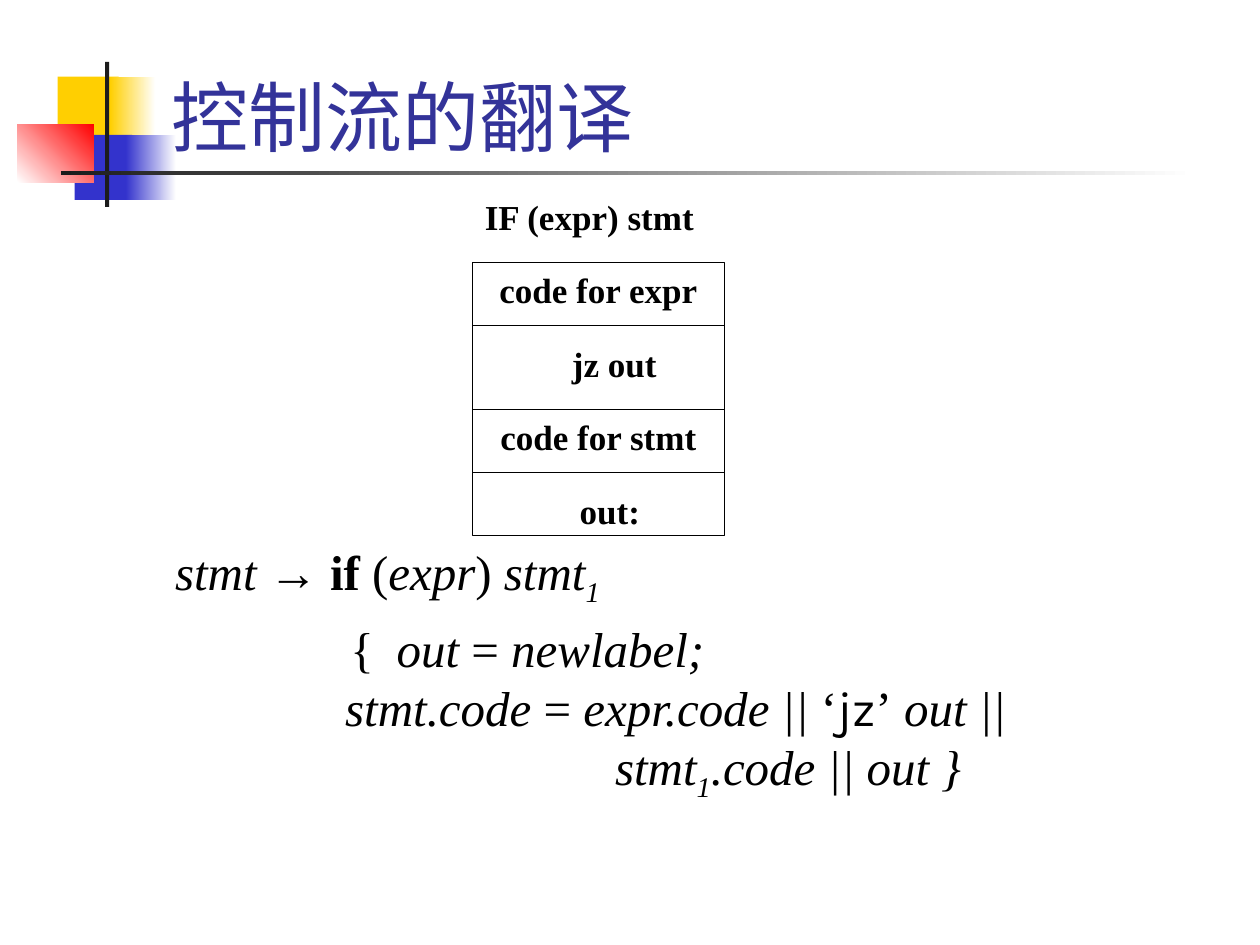
"""Build the slide on translating control flow: an IF code layout and its translation scheme."""
from lxml import etree
from pptx import Presentation
from pptx import util as u
from pptx.dml.color import RGBColor
from pptx.enum import shapes, text
from pptx.oxml.ns import qn

YELLOW = RGBColor(0xFF, 0xCF, 0x01)
BLUE = RGBColor(0x33, 0x33, 0xCC)
RED = RGBColor(0xFF, 0x00, 0x00)
DARK = RGBColor(0x1C, 0x1C, 0x1C)
NAVY = RGBColor(0x33, 0x33, 0x99)
BLACK = RGBColor(0x00, 0x00, 0x00)
WHITE = RGBColor(0xFF, 0xFF, 0xFF)

presentation = Presentation()
presentation.slide_width, presentation.slide_height = u.Inches(10), u.Inches(7.5)
CELL = presentation.slide_width / 120
slide = presentation.slides.add_slide(presentation.slide_layouts[5])


def grid(*cells):
    """Turn grid columns and rows into slide lengths."""
    return [u.Emu(round(cell * CELL)) for cell in cells]


def write(paragraph, content, size=20, color=BLACK, font="Times New Roman",
          bold=False, italic=False, baseline=0):
    """Add one formatted run to a paragraph."""
    run = paragraph.add_run()
    run.text = content
    run.font.size, run.font.name = u.Pt(size), font
    run.font.bold, run.font.italic = bold, italic
    run.font.color.rgb = color
    if baseline:
        run.font._element.set("baseline", str(baseline * 1000))


ornaments = [
    (5.5, 7.3, 5.8, 6.2, YELLOW, None, 0),
    (10.5, 7.3, 4.3, 6.2, YELLOW, WHITE, 0),
    (7.1, 12.85, 5.5, 6.2, BLUE, None, 0),
    (12, 12.85, 4.8, 6.2, BLUE, WHITE, 0),
    (1.65, 11.85, 7.3, 5.5, WHITE, RED, 45),
    (10, 5.9, 0.4, 13.8, DARK, None, 0),
    (5.8, 16.3, 108, 0.4, DARK, WHITE, 0),
]
for left, top, width, height, start, end, angle in ornaments:
    shape = slide.shapes.add_shape(
        shapes.MSO_SHAPE.RECTANGLE, *grid(left, top, width, height))
    shape.shadow.inherit = False
    shape.line.fill.background()
    if end is None:
        shape.fill.solid()
        shape.fill.fore_color.rgb = start
    else:
        shape.fill.gradient()
        shape.fill.gradient_angle = angle
        for stop, color in zip(shape.fill.gradient_stops, (start, end)):
            stop.color.rgb = color

title = slide.shapes.title
title.element.getparent().append(title.element)
title.left, title.top, title.width, title.height = grid(15.1, 1, 102.2, 15)
title.text_frame.vertical_anchor = text.MSO_ANCHOR.BOTTOM
title.text_frame.paragraphs[0].alignment = text.PP_ALIGN.LEFT
write(title.text_frame.paragraphs[0], "控制流的翻译", size=44, color=NAVY)

frame = slide.shapes.add_shape(shapes.MSO_SHAPE.RECTANGLE, *grid(45, 25, 24, 26))
frame.shadow.inherit = False
frame.fill.background()
frame.line.color.rgb, frame.line.width = BLACK, u.Pt(0.75)

labels = [
    ("IF (expr) stmt", 45, 18, text.PP_ALIGN.LEFT),
    ("code for expr", 45, 25, text.PP_ALIGN.CENTER),
    ("jz out", 48, 32, text.PP_ALIGN.CENTER),
    ("code for stmt", 45, 39, text.PP_ALIGN.CENTER),
    ("out: ", 48, 46, text.PP_ALIGN.CENTER),
]
for label, left, top, alignment in labels:
    box = slide.shapes.add_textbox(*grid(left, top, 69 - left, 5.2))
    box.text_frame.word_wrap = True
    paragraph = box.text_frame.paragraphs[0]
    paragraph.alignment = alignment
    write(paragraph, label, bold=True)

for row in (31, 39, 45):
    divider = slide.shapes.add_connector(
        shapes.MSO_CONNECTOR.STRAIGHT, *grid(45, row, 69, row))
    divider.line.color.rgb, divider.line.width = BLACK, u.Pt(0.75)
    etree.SubElement(divider._element.spPr, qn("a:effectLst"))

ITALIC, BOLD = {"italic": True}, {"bold": True}
SUBSCRIPT = {"italic": True, "baseline": -25}
scheme = [
    (0, 0, 0, [("stmt ", ITALIC), ("→ if", BOLD), (" (", {}), ("expr", ITALIC),
               (") ", {}), ("stmt", ITALIC), ("1", SUBSCRIPT)]),
    (21.1, -4.4, 5.6, [("{\t", {}), ("out ", ITALIC), ("= ", {}), ("newlabel;", ITALIC)]),
    (16.2, 0, 0, [("stmt.code ", ITALIC), ("= ", {}), ("expr.code || ", ITALIC), ("‘", {}),
                  ("jz", {"font": "Karla"}), ("’", {}), (" out ||", ITALIC)]),
    (41.9, 0, 0, [("stmt", ITALIC), ("1", SUBSCRIPT), (".code || out }", ITALIC)]),
]
body = slide.shapes.add_textbox(*grid(15.5, 51, 102, 20)).text_frame
body.word_wrap = True
for number, (margin, indent, space, runs) in enumerate(scheme):
    paragraph = body.add_paragraph() if number else body.paragraphs[0]
    properties = paragraph._p.get_or_add_pPr()
    for name, length in zip(("marL", "indent"), grid(margin, indent)):
        properties.set(name, str(int(length)))
    paragraph.space_before = u.Pt(space)
    for content, style in runs:
        write(paragraph, content, size=28, **style)

presentation.save("out.pptx")
